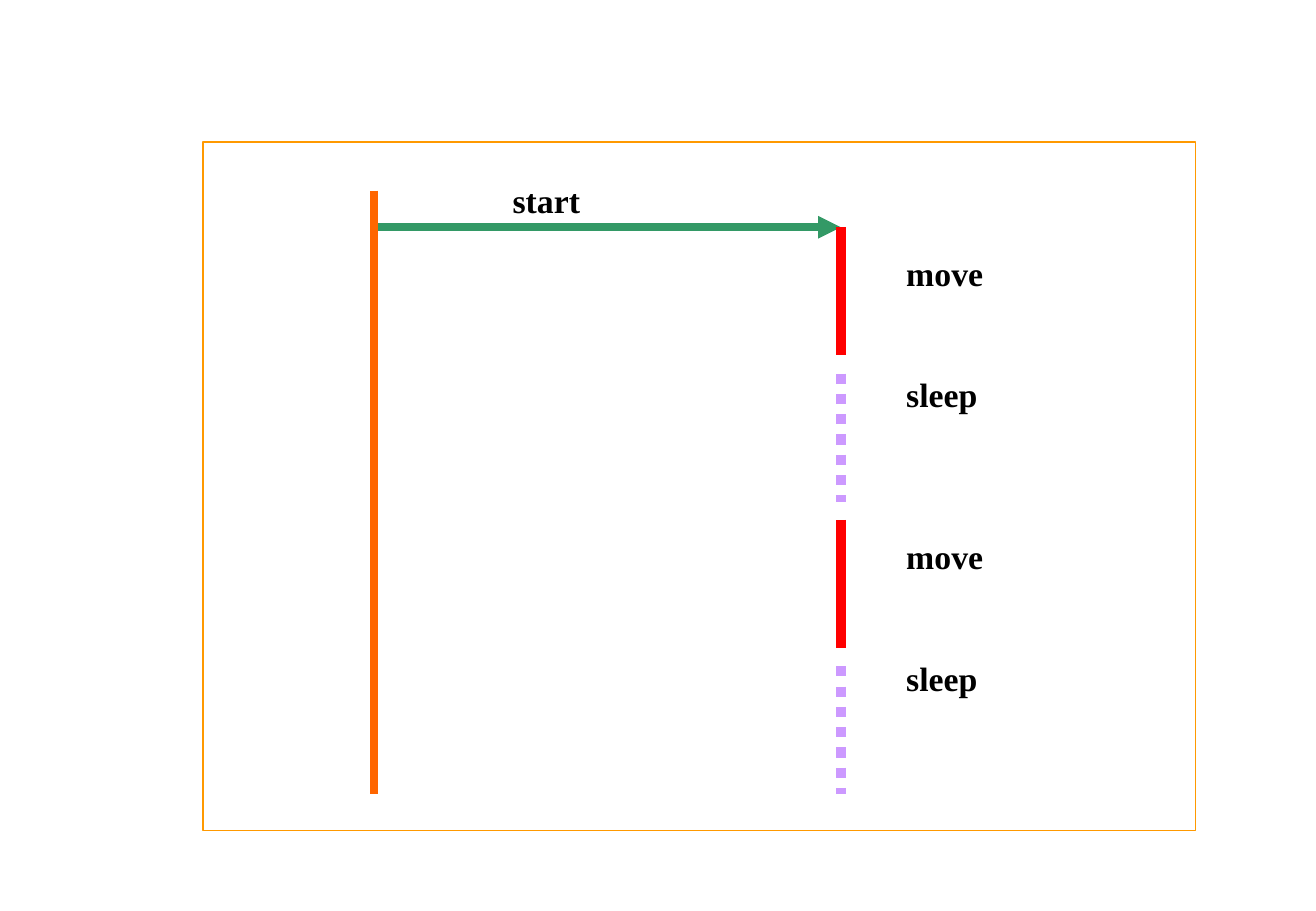
from lxml import etree
from pptx import Presentation
from pptx import util as u
from pptx.dml.color import RGBColor
from pptx.enum import dml, shapes
from pptx.oxml.ns import qn

deck = Presentation()
deck.slide_width, deck.slide_height = u.Inches(10.83), u.Inches(7.5)
slide = deck.slides.add_slide(deck.slide_layouts[6])

# Time runs down the slide in 33 equal rows
TOP, BOTTOM, ROWS = 1.57, 6.54, 33
ROW = (BOTTOM - TOP) / ROWS
MAIN_X, THREAD_X = 3.08, 6.92
START_ROW, PHASE_ROWS, PHASE_STEP = 2, 7, 8


def add_line(x1, row1, x2, row2, color, width):
    """Draw a line between two places given as x in inches and a row."""
    line = slide.shapes.add_connector(
        shapes.MSO_CONNECTOR.STRAIGHT,
        u.Inches(x1), u.Inches(TOP + row1 * ROW),
        u.Inches(x2), u.Inches(TOP + row2 * ROW))
    line.line.color.rgb = RGBColor.from_string(color)
    line.line.width = u.Pt(width)
    etree.SubElement(line._element.spPr, qn("a:effectLst"))
    return line


def add_labels(left, top, height, labels):
    """Add a text box with one paragraph per (text, space before) pair."""
    box = slide.shapes.add_textbox(
        u.Inches(left), u.Inches(top), u.Inches(1.47), u.Inches(height))
    box.text_frame.word_wrap = True
    font = {"name": "Times New Roman", "size": u.Pt(20), "bold": True}
    for i, (label, gap) in enumerate(labels):
        para = box.text_frame.paragraphs[0] if i == 0 else box.text_frame.add_paragraph()
        para.line_spacing = u.Pt(24)
        para.space_before = u.Pt(gap)
        span = para.add_run()
        span.text = label
        for key, value in font.items():
            setattr(span.font, key, value)
        span.font.color.rgb = RGBColor.from_string("000000")


add_labels(4.12, 1.43, 0.45, [("start", 0)])

arrow = add_line(MAIN_X, START_ROW, THREAD_X, START_ROW, "339966", 4.5)
etree.SubElement(arrow.line._get_or_add_ln(), qn("a:tailEnd"), type="triangle")

add_line(MAIN_X, 0, MAIN_X, ROWS, "FF6600", 4.5)

for i, phase in enumerate(["move", "sleep", "move", "sleep"]):
    first = START_ROW + i * PHASE_STEP
    color = "FF0000" if phase == "move" else "CC99FF"
    line = add_line(THREAD_X, first, THREAD_X, first + PHASE_ROWS, color, 6)
    if phase == "sleep":
        line.line.dash_style = dml.MSO_LINE.ROUND_DOT

add_labels(7.36, 2.03, 4.37, [("move", 0), ("sleep", 48), ("move", 72), ("sleep", 48)])

frame = slide.shapes.add_shape(
    shapes.MSO_SHAPE.RECTANGLE,
    u.Inches(1.67), u.Inches(1.17), u.Inches(8.17), u.Inches(5.67))
frame.shadow.inherit = False
frame.fill.background()
frame.line.color.rgb = RGBColor.from_string("FF9900")
frame.line.width = u.Pt(0.75)

deck.save("out.pptx")
